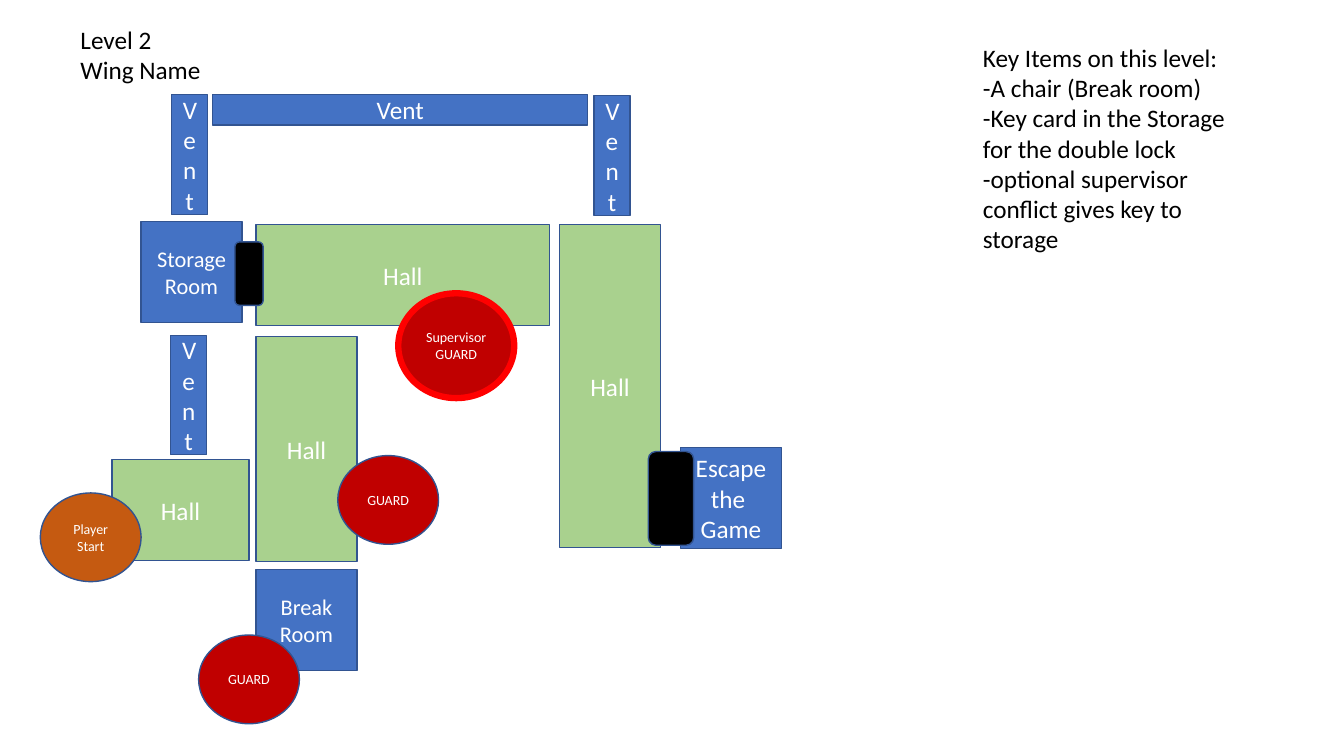
from dataclasses import dataclass

from pptx import Presentation
from pptx.dml.color import RGBColor
from pptx.enum.shapes import MSO_SHAPE
from pptx.enum.text import MSO_ANCHOR, MSO_AUTO_SIZE, PP_ALIGN
from pptx.slide import Slide
from pptx.text.text import TextFrame
from pptx.util import Pt

EMU_PER_PX = 9144  # 100 px to the inch

WHITE = RGBColor(0xFF, 0xFF, 0xFF)
BLACK = RGBColor(0x00, 0x00, 0x00)
HALL_GREEN = RGBColor(0xA9, 0xD1, 0x8E)
ROOM_BLUE = RGBColor(0x44, 0x72, 0xC4)
OUTLINE_BLUE = RGBColor(0x32, 0x54, 0x91)
GUARD_RED = RGBColor(0xC0, 0x00, 0x00)
ALERT_RED = RGBColor(0xFF, 0x00, 0x00)
PLAYER_ORANGE = RGBColor(0xC5, 0x5A, 0x11)


@dataclass(frozen=True)
class Style:
    preset: MSO_SHAPE
    fill: RGBColor
    size: int
    line: RGBColor = OUTLINE_BLUE
    line_width: float = 1


@dataclass(frozen=True)
class MapPart:
    style: Style
    left: int
    top: int
    width: int
    height: int
    text: str = ""


@dataclass(frozen=True)
class Note:
    left: int
    top: int
    width: int
    height: int
    text: str


HALL = Style(MSO_SHAPE.RECTANGLE, HALL_GREEN, 18)
ROOM = Style(MSO_SHAPE.RECTANGLE, ROOM_BLUE, 16)
VENT = Style(MSO_SHAPE.RECTANGLE, ROOM_BLUE, 18)
EXIT = VENT
GUARD = Style(MSO_SHAPE.OVAL, GUARD_RED, 10)
SUPERVISOR = Style(MSO_SHAPE.OVAL, GUARD_RED, 10, ALERT_RED, 4.5)
PLAYER = Style(MSO_SHAPE.OVAL, PLAYER_ORANGE, 10)
DOOR = Style(MSO_SHAPE.ROUNDED_RECTANGLE, BLACK, 18)

# Map parts from back to front
MAP_PARTS = [
    MapPart(HALL, 111, 456, 136, 100, "Hall"),
    MapPart(HALL, 254, 334, 100, 223, "Hall"),
    MapPart(HALL, 254, 223, 291, 100, "Hall"),
    MapPart(HALL, 555, 223, 100, 320, "Hall"),
    MapPart(GUARD, 335, 452, 100, 88, "GUARD"),
    MapPart(ROOM, 140, 220, 100, 100, "Storage Room"),
    MapPart(EXIT, 675, 444, 100, 100, "Escape the \nGame"),
    MapPart(PLAYER, 40, 489, 100, 88, "Player Start"),
    MapPart(SUPERVISOR, 395, 291, 115, 104, "Supervisor\nGUARD"),
    MapPart(ROOM, 254, 565, 100, 100, "Break Room"),
    MapPart(GUARD, 197, 630, 100, 88, "GUARD"),
    MapPart(VENT, 211, 94, 372, 30, "Vent"),
    MapPart(VENT, 589, 95, 36, 119, "Vent"),
    MapPart(VENT, 170, 94, 36, 119, "Vent"),
    MapPart(VENT, 169, 333, 36, 118, "Vent"),
    MapPart(DOOR, 643, 448, 45, 93),
    MapPart(DOOR, 233, 240, 28, 63),
]

NOTES = [
    Note(965, 37, 282, 283,
         "Key Items on this level:\n"
         "-A chair (Break room)\n"
         "-Key card in the Storage for the double lock\n"
         "-optional supervisor conflict gives key to storage"),
    Note(70, 19, 177, 71, "Level 2\nWing Name"),
]


def px(length: int) -> int:
    return length * EMU_PER_PX


def write_text(frame: TextFrame, text: str, size: int, color: RGBColor,
               alignment: PP_ALIGN) -> None:
    frame.word_wrap = True
    frame.text = text
    for paragraph in frame.paragraphs:
        paragraph.alignment = alignment
        paragraph.font.name = "Calibri"
        paragraph.font.size = Pt(size)
        paragraph.font.color.rgb = color


def draw_map_part(slide: Slide, part: MapPart) -> None:
    style = part.style
    shape = slide.shapes.add_shape(
        style.preset, px(part.left), px(part.top), px(part.width), px(part.height))
    shape.shadow.inherit = False
    shape.fill.solid()
    shape.fill.fore_color.rgb = style.fill
    shape.line.color.rgb = style.line
    shape.line.width = Pt(style.line_width)
    if part.text:
        shape.text_frame.vertical_anchor = MSO_ANCHOR.MIDDLE
        write_text(shape.text_frame, part.text, style.size, WHITE, PP_ALIGN.CENTER)


def draw_note(slide: Slide, note: Note) -> None:
    box = slide.shapes.add_textbox(
        px(note.left), px(note.top), px(note.width), px(note.height))
    write_text(box.text_frame, note.text, 18, BLACK, PP_ALIGN.LEFT)
    box.text_frame.auto_size = MSO_AUTO_SIZE.SHAPE_TO_FIT_TEXT


def main() -> None:
    presentation = Presentation()
    presentation.slide_width = px(1333)
    presentation.slide_height = px(750)
    slide = presentation.slides.add_slide(presentation.slide_layouts[6])

    # Level map
    for part in MAP_PARTS:
        draw_map_part(slide, part)

    # Title and key items
    for note in NOTES:
        draw_note(slide, note)

    presentation.save("out.pptx")


if __name__ == "__main__":
    main()
